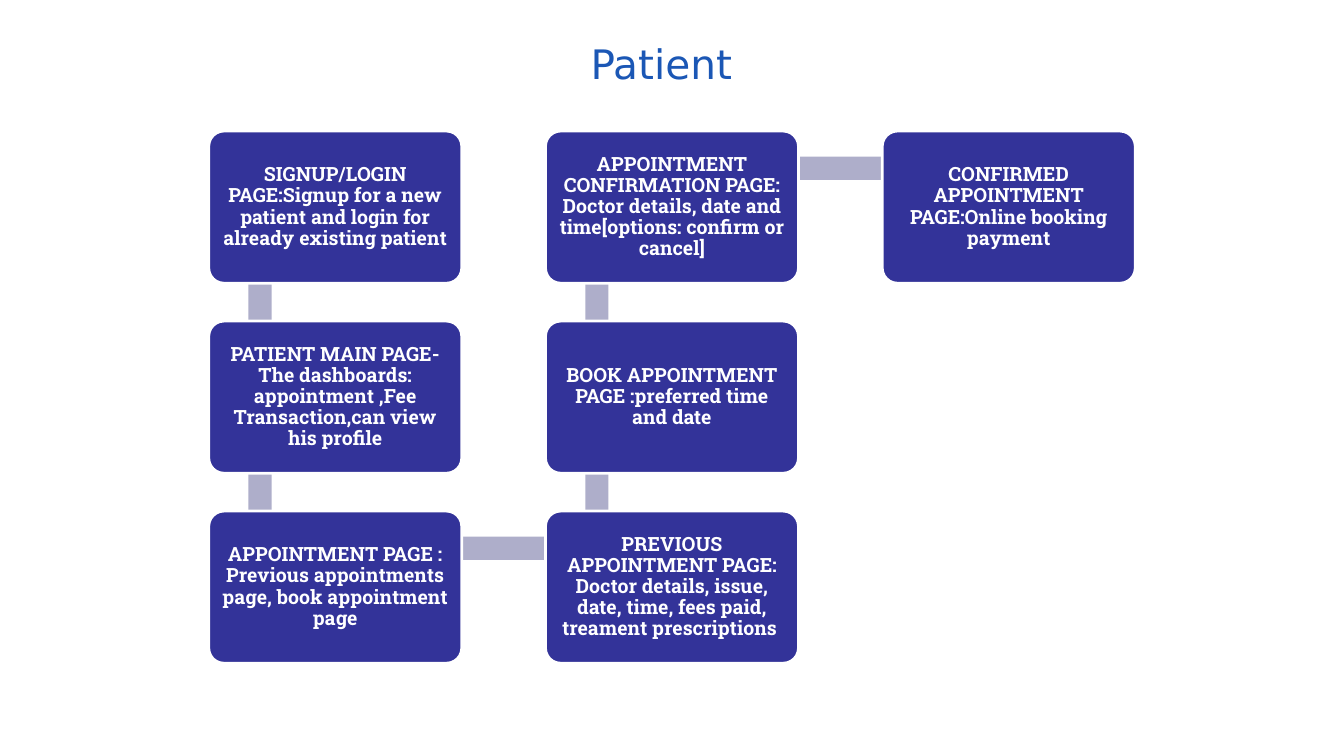
import pptx
import pptx.util
import pptx.dml.color
import pptx.enum.shapes
import pptx.enum.text

Inches = pptx.util.Inches
COLORS = {"title": "1B57B5", "box": "333399", "link": "AEAECA", "white": "FFFFFF"}

# Column, row and text of each page, in the order of the flow
PAGES = [
    (0, 0, "SIGNUP/LOGIN PAGE:Signup for a new patient and login for already existing patient"),
    (0, 1, "PATIENT MAIN PAGE-The dashboards: appointment ,Fee Transaction,can view his profile"),
    (0, 2, "APPOINTMENT PAGE : Previous appointments page, book appointment page"),
    (1, 2, "PREVIOUS APPOINTMENT PAGE: Doctor details, issue, date, time, fees paid, treament prescriptions "),
    (1, 1, "BOOK APPOINTMENT PAGE :preferred time and date"),
    (1, 0, "APPOINTMENT CONFIRMATION PAGE: Doctor details, date and time[options: confirm or cancel]"),
    (2, 0, "CONFIRMED APPOINTMENT PAGE:Online booking payment"),
]
GRID_LEFT, GRID_TOP = 2.07, 1.3
COLUMN_STEP, ROW_STEP = 3.34, 1.885
BOX_WIDTH, BOX_HEIGHT = 2.51, 1.51
LINK_X, LINK_Y, LINK_THICKNESS = 0.51, 0.37, 0.23


def write_text(shape, text, *, size, font, color, bold=False, spacing=1.0, inset_x=0.06):
    frame = shape.text_frame
    frame.word_wrap = True
    frame.auto_size = pptx.enum.text.MSO_AUTO_SIZE.NONE
    frame.vertical_anchor = pptx.enum.text.MSO_ANCHOR.MIDDLE
    frame.margin_left = frame.margin_right = Inches(inset_x)
    frame.margin_top = frame.margin_bottom = Inches(0.06)
    paragraph = frame.paragraphs[0]
    paragraph.alignment = pptx.enum.text.PP_ALIGN.CENTER
    paragraph.line_spacing = spacing
    run = paragraph.add_run()
    run.text = text
    run.font.size = pptx.util.Pt(size)
    run.font.name = font
    run.font.bold = bold
    run.font.color.rgb = pptx.dml.color.RGBColor.from_string(COLORS[color])


def add_filled_shape(kind, left, top, width, height, color):
    shape = slide.shapes.add_shape(kind, Inches(left), Inches(top), Inches(width), Inches(height))
    shape.shadow.inherit = False
    shape.fill.solid()
    shape.fill.fore_color.rgb = pptx.dml.color.RGBColor.from_string(COLORS[color])
    shape.line.fill.background()
    return shape


presentation = pptx.Presentation()
presentation.slide_width = Inches(13.33)
presentation.slide_height = Inches(7.5)
slide = presentation.slides.add_slide(presentation.slide_layouts[5])

# Title
title = slide.shapes.title
title.left, title.top = Inches(0.56), Inches(0.25)
title.width, title.height = Inches(12), Inches(0.75)
write_text(title, "Patient", size=29, font="DejaVu Sans", color="title", inset_x=0.11)

# Bars between successive pages, behind the boxes
for (column, row, _), (next_column, next_row, _) in zip(PAGES, PAGES[1:]):
    center_x = GRID_LEFT + LINK_X + min(column, next_column) * COLUMN_STEP
    center_y = GRID_TOP + LINK_Y + min(row, next_row) * ROW_STEP
    if column == next_column:
        bounds = (center_x - LINK_THICKNESS / 2, center_y, LINK_THICKNESS, ROW_STEP)
    else:
        bounds = (center_x, center_y - LINK_THICKNESS / 2, COLUMN_STEP, LINK_THICKNESS)
    add_filled_shape(pptx.enum.shapes.MSO_SHAPE.RECTANGLE, *bounds, "link")

# Page boxes
for column, row, text in PAGES:
    box = add_filled_shape(
        pptx.enum.shapes.MSO_SHAPE.ROUNDED_RECTANGLE,
        GRID_LEFT + column * COLUMN_STEP, GRID_TOP + row * ROW_STEP,
        BOX_WIDTH, BOX_HEIGHT, "box")
    box.adjustments[0] = 0.1
    box.line.color.rgb = pptx.dml.color.RGBColor.from_string(COLORS["white"])
    box.line.width = pptx.util.Pt(2)
    write_text(box, text, size=14, font="Roboto Slab", color="white", bold=True, spacing=0.9)

presentation.save("out.pptx")
